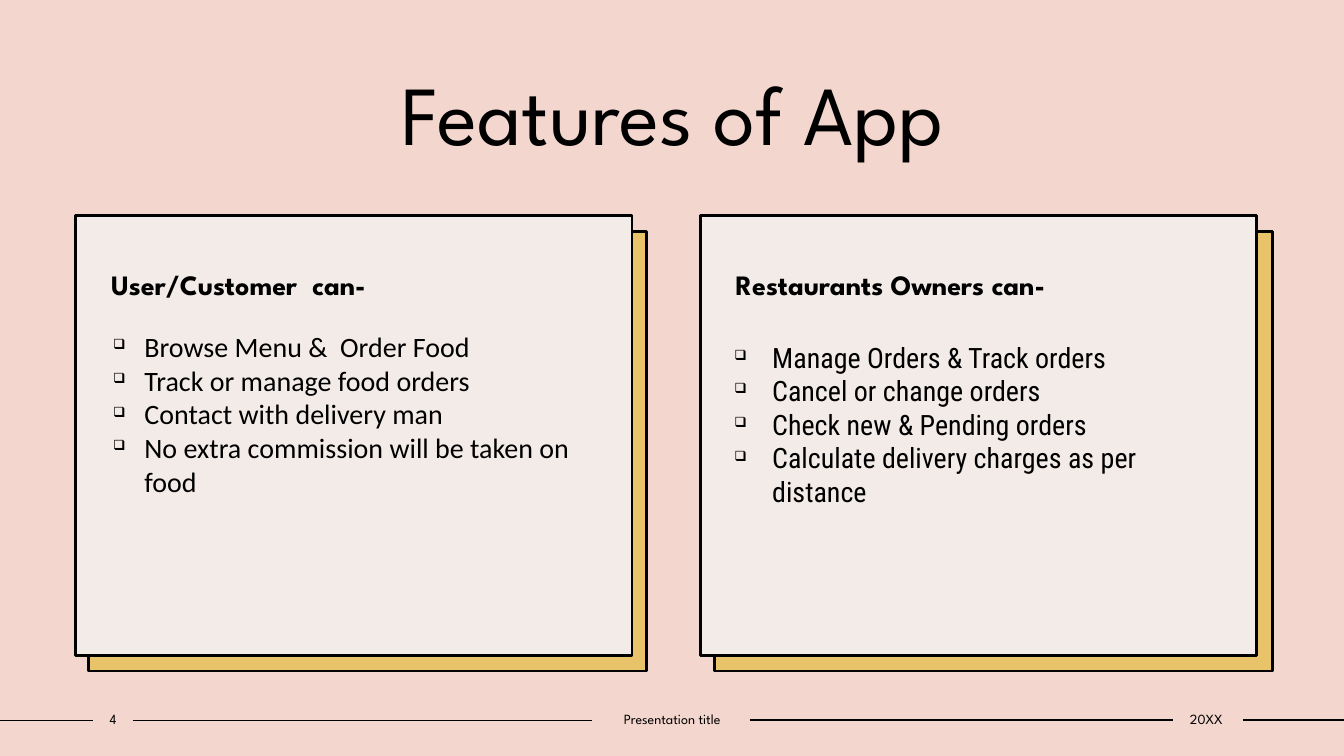
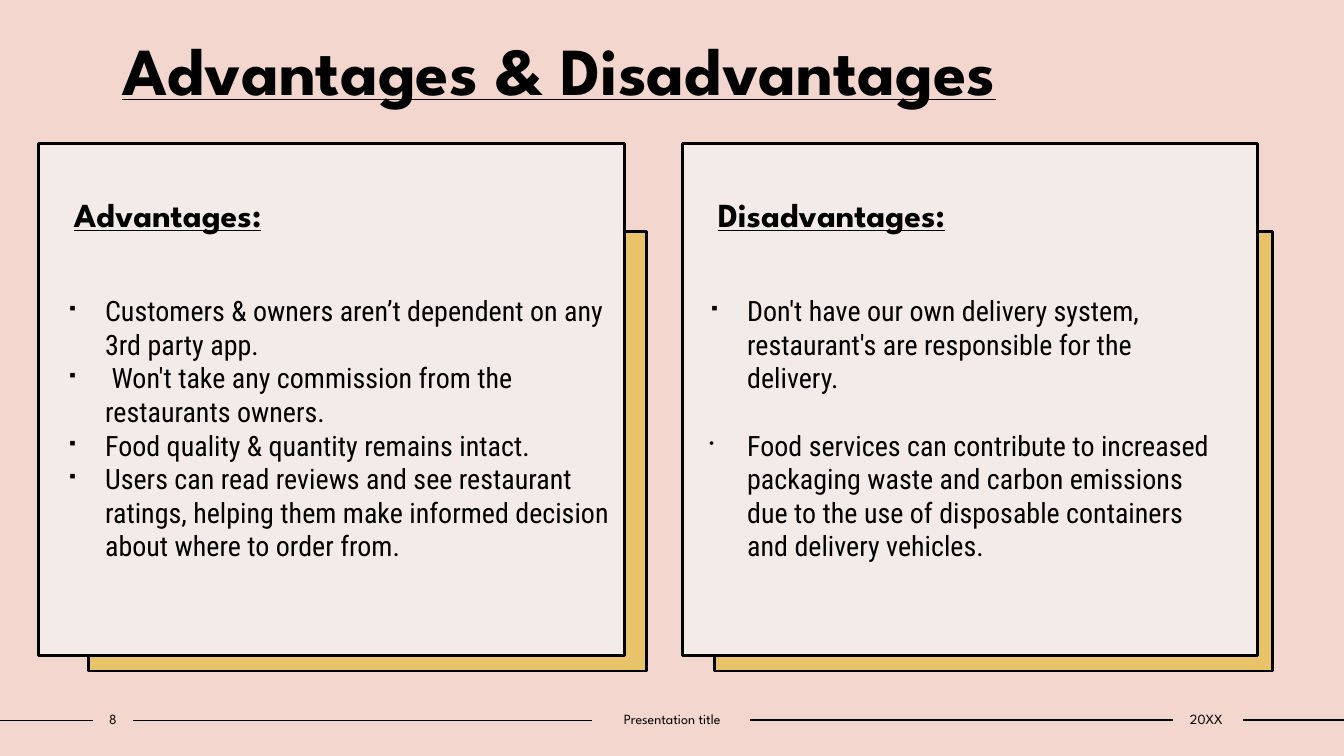
from dataclasses import dataclass

from lxml.etree import SubElement as Sub
from pptx import Presentation
from pptx.dml.color import RGBColor as Rgb
from pptx.enum.shapes import MSO_CONNECTOR as Conn, MSO_SHAPE as Form
from pptx.enum.text import MSO_ANCHOR as Anchor, PP_ALIGN as Align
from pptx.oxml.ns import qn
from pptx.util import Cm, Pt


@dataclass(frozen=True)
class Theme:
    back: Rgb = Rgb(0xF3, 0xD6, 0xCD)
    card: Rgb = Rgb(0xF3, 0xEB, 0xE8)
    gold: Rgb = Rgb(0xE9, 0xC3, 0x69)
    ink: Rgb = Rgb(0, 0, 0)
    head: str = "League Spartan"
    body: str = "Roboto Condensed"
    plain: str = "Calibri"
    text: int = 20
    foot: int = 10
    rule: int = 1
    edge: int = 2


T = Theme()
PAD = (0.25, 0.13, 0.25, 0.13)
BOLD = {"name": T.head, "size": Pt(20), "bold": True}
LINED = {"name": T.head, "size": Pt(24), "bold": True, "underline": True}
SMALL = {"name": T.head, "size": Pt(T.foot)}


# Basic parts
def put(item, values):
    for key, value in values.items():
        setattr(item, key, value)


def style(par, font):
    put(par.font, font)
    par.font.color.rgb = T.ink


def setup(frame, pad=PAD, anchor=Anchor.TOP):
    left, top, right, low = map(Cm, pad)
    put(frame, {"word_wrap": True, "vertical_anchor": anchor,
                "margin_left": left, "margin_top": top,
                "margin_right": right, "margin_bottom": low})


def label(slide, box, text, font, **look):
    frame = slide.shapes.add_textbox(*map(Cm, box)).text_frame
    setup(frame, **look)
    par = frame.paragraphs[0]
    par.text, par.alignment = text, Align.CENTER
    style(par, font)


def panel(slide, box, fill):
    shape = slide.shapes.add_shape(Form.RECTANGLE, *map(Cm, box))
    shape.shadow.inherit = False
    shape.fill.solid()
    shape.fill.fore_color.rgb = fill
    shape.line.color.rgb = T.ink
    shape.line.width = Pt(T.edge)
    return shape


def rule(slide, start, end, y):
    line = slide.shapes.add_connector(
        Conn.STRAIGHT, Cm(start), Cm(y), Cm(end), Cm(y))
    line.line.color.rgb = T.ink
    line.line.width = Pt(T.rule)
    Sub(line._element.spPr, qn("a:effectLst"))


# Footer: rules broken by three labels
def footer(slide, page):
    for start, end, y in ((0, 2.34, 18.16), (3.35, 14.91, 18.16),
                          (18.9, 29.57, 18.14), (31.32, 33.87, 18.14)):
        rule(slide, start, end, y)
    for left, width, text in ((2.34, 1.02, page),
                              (14.91, 4.06, "Presentation title"),
                              (29.51, 1.78, "20XX")):
        label(slide, (left, 17.78, width, 0.69), text, SMALL,
              pad=(0, 0.13, 0, 0.13), anchor=Anchor.MIDDLE)


# Bullet list
def bullets(slide, box, items, font, mark, indent, gap):
    frame = slide.shapes.add_textbox(*map(Cm, box)).text_frame
    setup(frame)
    for num, item in enumerate(items):
        par = frame.add_paragraph() if num else frame.paragraphs[0]
        par.text = item
        props = par._p.get_or_add_pPr()
        props.set("marL", str(Cm(indent)))
        props.set("indent", str(-Cm(indent)))
        Sub(props, qn("a:buSzPct"), val="50000")
        Sub(props, qn("a:buChar"), char=mark[num % len(mark)])
        if num and gap:
            par.space_before = Pt(gap)
        style(par, {"name": font, "size": Pt(T.text)})


# Card: heading on the panel, list offset from its corner
def card(slide, box, head, font, inset, items,
         face=T.body, mark="▪", indent=0.95, gap=0):
    frame = panel(slide, box, T.card).text_frame
    setup(frame, pad=(0.89, 1.4, 0.25, 0.13))
    par = frame.paragraphs[0]
    put(par, {"text": head, "alignment": Align.LEFT, "line_spacing": 0.9})
    style(par, font)
    dx, dy, width, height = inset
    bullets(slide, (box[0] + dx, box[1] + dy, width, height),
            items, face, mark, indent, gap)


# Slide with two cards over gold backing panels
def pair(deck, page, title, spot, font, cards):
    slide = deck.slides.add_slide(deck.slide_layouts[6])
    slide.background.fill.solid()
    slide.background.fill.fore_color.rgb = T.back
    footer(slide, page)
    for left in (18.01, 2.24):
        panel(slide, (left, 5.84, 14.05, 11.07), T.gold)
    label(slide, (*spot, 27.53, 2.82), title, font)
    for part in cards:
        card(slide, **part)


def main():
    deck = Presentation()
    deck.slide_width, deck.slide_height = Cm(33.87), Cm(19.05)

    pair(deck, "4", "Features of App", (3.18, 1.42),
         {"name": T.head, "size": Pt(60)}, [
        {"box": (1.91, 5.44, 14.02, 11.07), "head": "User/Customer  can-",
         "font": BOLD, "inset": (0.69, 2.74, 12.8, 7.75),
         "face": T.plain, "mark": "❑", "indent": 0.79,
         "items": ["Browse Menu &  Order Food",
                   "Track or manage food orders",
                   "Contact with delivery man",
                   "No extra commission will be taken on food"]},
        {"box": (17.65, 5.44, 14.02, 11.07),
         "head": "Restaurants Owners can-",
         "font": BOLD, "inset": (0.61, 3, 12.8, 7.75), "mark": "❑",
         "items": ["Manage Orders & Track orders",
                   "Cancel or change orders",
                   "Check new & Pending orders",
                   "Calculate delivery charges as per distance"]},
    ])

    pair(deck, "8", "Advantages & Disadvantages", (0.33, 0.58),
         {**LINED, "size": Pt(48)}, [
        {"box": (0.97, 3.61, 14.78, 12.9), "head": "Advantages:",
         "font": LINED, "inset": (0.48, 3.66, 14.48, 8.66),
         "items": ["Customers & owners aren’t dependent on any "
                   "3rd party app.",
                   " Won't take any commission from the "
                   "restaurants owners.",
                   "Food quality & quantity remains intact.",
                   "Users can read reviews and see restaurant ratings, "
                   "helping them make informed decision about where to "
                   "order from."]},
        {"box": (17.2, 3.61, 14.5, 12.9), "head": "Disadvantages:",
         "font": LINED, "inset": (0.43, 3.66, 13.49, 8.66),
         "mark": "▪•", "gap": 24,
         "items": ["Don't have our own delivery system, restaurant's "
                   "are responsible for the delivery.",
                   "Food services can contribute to increased packaging "
                   "waste and carbon emissions due to the use of "
                   "disposable containers and delivery vehicles."]},
    ])
    deck.save("out.pptx")


if __name__ == "__main__":
    main()
